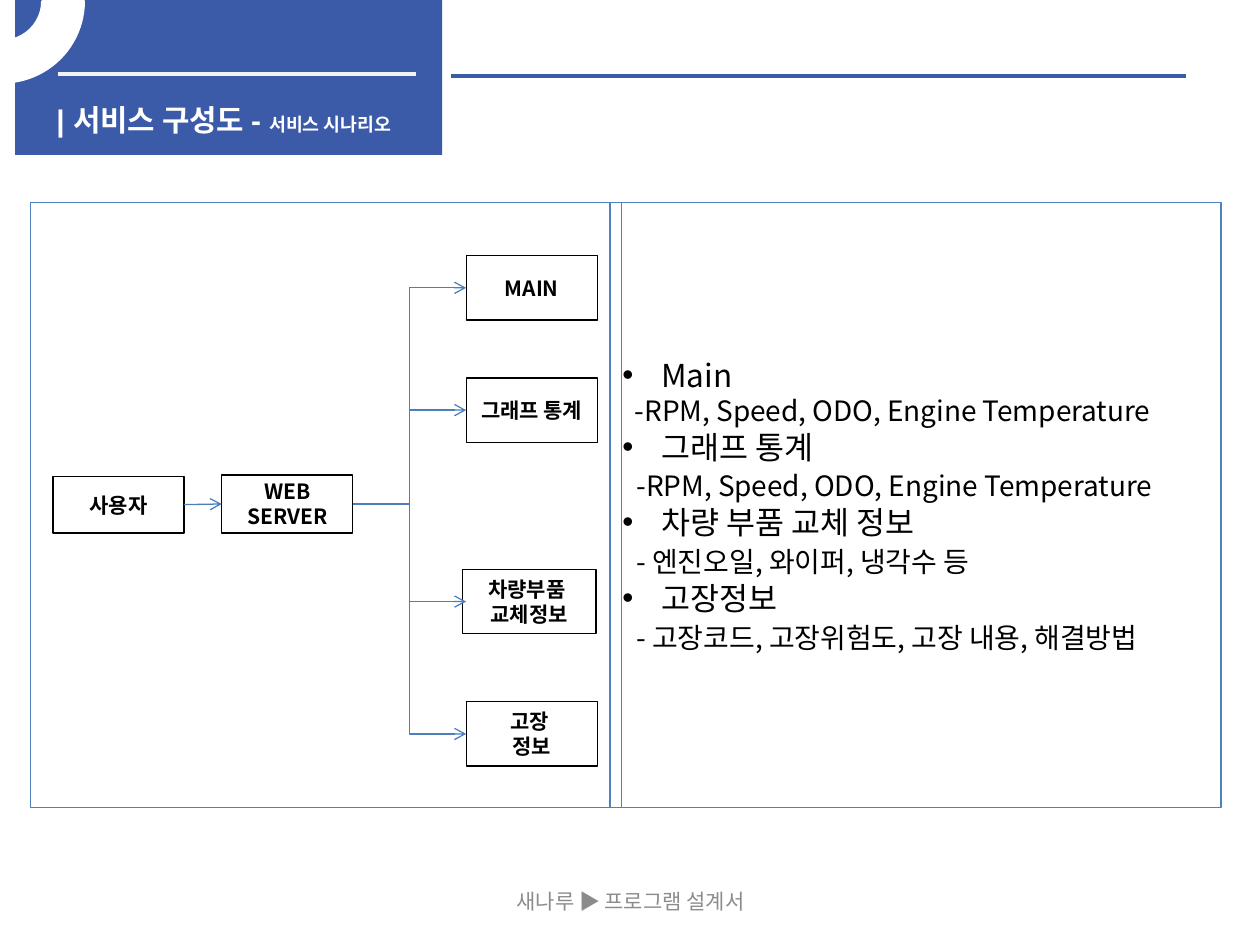
import pptx
import pptx.dml.color
import pptx.enum.shapes
import pptx.enum.text
import pptx.oxml.ns
import pptx.util
from lxml import etree
from pptx.util import Inches

FONT = "Noto Sans CJK KR"
COLORS = {
    "banner": "3B5AA8",
    "white": "FFFFFF",
    "banner_rule": "F2F2F2",
    "panel": "4F81BD",
    "arrow": "4B7EBC",
    "black": "000000",
    "footer": "8C8C8C",
}
SHAPES = pptx.enum.shapes.MSO_SHAPE
CONNECTORS = pptx.enum.shapes.MSO_CONNECTOR
CENTER = pptx.enum.text.PP_ALIGN.CENTER
LEFT = pptx.enum.text.PP_ALIGN.LEFT
MIDDLE = pptx.enum.text.MSO_ANCHOR.MIDDLE
RIGHT_SIDE, LEFT_SIDE = 3, 1

SERVICES = [  # left, top, width, lines of the label
    (3.7, 2.03, 1.04, ["MAIN"]),
    (3.7, 3, 1.04, ["그래프 통계"]),
    (3.67, 4.52, 1.06, ["차량부품 ", "교체정보"]),
    (3.7, 5.57, 1.04, ["고장 ", "정보"]),
]
SERVICE_HEIGHT = 0.51
ARROW_END = 3.7
SCENARIOS = [  # heading, size of the leading spaces, details
    ("Main", 16, "-RPM, Speed, ODO, Engine Temperature"),
    ("그래프 통계", 18, "-RPM, Speed, ODO, Engine Temperature"),
    ("차량 부품 교체 정보", 18, "- 엔진오일, 와이퍼, 냉각수 등"),
    ("고장정보", 18, "- 고장코드, 고장위험도, 고장 내용, 해결방법"),
]


def rgb(color):
    return pptx.dml.color.RGBColor.from_string(COLORS[color])


def add_child(parent, tag, **attributes):
    return etree.SubElement(parent, pptx.oxml.ns.qn(tag), **attributes)


def add_run(paragraph, text, size, color, font=FONT, bold=False):
    run = paragraph.add_run()
    run.text = text
    run.font.size = pptx.util.Pt(size)
    run.font.bold = bold
    run.font.name = font
    run.font.color.rgb = rgb(color)
    add_child(run.font._element, "a:ea", typeface=FONT)


def next_paragraph(frame, index):
    return frame.add_paragraph() if index else frame.paragraphs[0]


def add_shape(slide, kind, box, fill=None, line=None, line_width=0.75):
    shape = slide.shapes.add_shape(kind, *map(Inches, box))
    shape.shadow.inherit = False
    if fill:
        shape.fill.solid()
        shape.fill.fore_color.rgb = rgb(fill)
    else:
        shape.fill.background()
    if line:
        shape.line.color.rgb = rgb(line)
        shape.line.width = pptx.util.Pt(line_width)
    else:
        shape.line.fill.background()
    return shape


def add_node(slide, box, lines):
    node = add_shape(slide, SHAPES.RECTANGLE, box, line="black")
    frame = node.text_frame
    frame.word_wrap = True
    frame.vertical_anchor = MIDDLE
    for index, line in enumerate(lines):
        paragraph = next_paragraph(frame, index)
        paragraph.alignment = CENTER
        add_run(paragraph, line, 12, "black", bold=True)
    return node


def add_line(slide, kind, start, end, color, width, arrow=False):
    line = slide.shapes.add_connector(kind, *map(Inches, start + end))
    line.line.color.rgb = rgb(color)
    line.line.width = pptx.util.Pt(width)
    if arrow:
        add_child(line.line._get_or_add_ln(), "a:tailEnd", type="arrow")
    add_child(line._element.spPr, "a:effectLst")
    return line


def add_text_box(slide, box):
    frame = slide.shapes.add_textbox(*map(Inches, box)).text_frame
    frame.word_wrap = True
    return frame


def add_header(slide):
    add_shape(slide, SHAPES.RECTANGLE, (0.12, 0, 3.39, 1.23), fill="banner")
    add_line(slide, CONNECTORS.STRAIGHT, (0.46, 0.59), (3.3, 0.59), "banner_rule", 2.25)
    add_line(slide, CONNECTORS.STRAIGHT, (3.58, 0.6), (9.41, 0.6), "banner", 2.25)
    title = add_text_box(slide, (0.35, 0.76, 3.9, 0.31)).paragraphs[0]
    add_run(title, "| 서비스 구성도 - ", 17, "white", "Arial", True)
    add_run(title, "서비스 시나리오", 10.5, "white", "Arial", True)
    arc = add_shape(slide, SHAPES.BLOCK_ARC, (-0.63, -0.63, 1.29, 1.28), "white", "white", 2)
    arc.adjustments[0] = 96.95  # 161.6 degrees, in units of 100000/60000 degree
    arc.adjustments[1] = 0
    arc.adjustments[2] = 0.25
    arc._element.spPr.xfrm.set("flipV", "1")


def add_footer(slide):
    frame = add_text_box(slide, (3.42, 6.95, 3.17, 0.4))
    frame.vertical_anchor = MIDDLE
    frame.paragraphs[0].alignment = CENTER
    add_run(frame.paragraphs[0], "새나루 ▶ 프로그램 설계서", 12, "footer")


def add_scenarios(panel):
    frame = panel.text_frame
    frame.word_wrap = True
    frame.vertical_anchor = MIDDLE
    for index, (name, space_size, details) in enumerate(SCENARIOS):
        heading = next_paragraph(frame, index)
        heading.alignment = LEFT
        properties = heading._p.get_or_add_pPr()
        properties.set("marL", str(Inches(0.31)))
        properties.set("indent", str(Inches(-0.31)))
        add_child(properties, "a:buFont", typeface="Arial")
        add_child(properties, "a:buChar", char="•")
        add_run(heading, name, 18, "black")
        detail = frame.add_paragraph()
        detail.alignment = LEFT
        add_run(detail, "  ", space_size, "black")
        add_run(detail, details, 16, "black")


def add_service_diagram(slide):
    user = add_node(slide, (0.42, 3.78, 1.04, 0.45), ["사용자"])
    server = add_node(slide, (1.76, 3.77, 1.04, 0.46), ["WEB SERVER"])
    request = add_line(slide, CONNECTORS.STRAIGHT, (1.46, 4.01), (1.76, 4), "arrow", 0.75, True)
    request.begin_connect(user, RIGHT_SIDE)
    request.end_connect(server, LEFT_SIDE)
    for left, top, width, lines in SERVICES:
        add_node(slide, (left, top, width, SERVICE_HEIGHT), lines)
        end = (ARROW_END, top + SERVICE_HEIGHT / 2)
        branch = add_line(slide, CONNECTORS.ELBOW, (2.8, 4), end, "arrow", 0.75, True)
        branch.begin_connect(server, RIGHT_SIDE)


def main():
    presentation = pptx.Presentation()
    presentation.slide_width = Inches(10)
    presentation.slide_height = Inches(7.5)
    slide = presentation.slides.add_slide(presentation.slide_layouts[6])
    add_header(slide)
    add_footer(slide)
    add_shape(slide, SHAPES.RECTANGLE, (0.24, 1.61, 4.69, 4.8), line="panel")
    scenarios = add_shape(slide, SHAPES.RECTANGLE, (4.84, 1.61, 4.85, 4.8), line="panel")
    add_scenarios(scenarios)
    add_service_diagram(slide)
    presentation.save("out.pptx")


if __name__ == "__main__":
    main()
